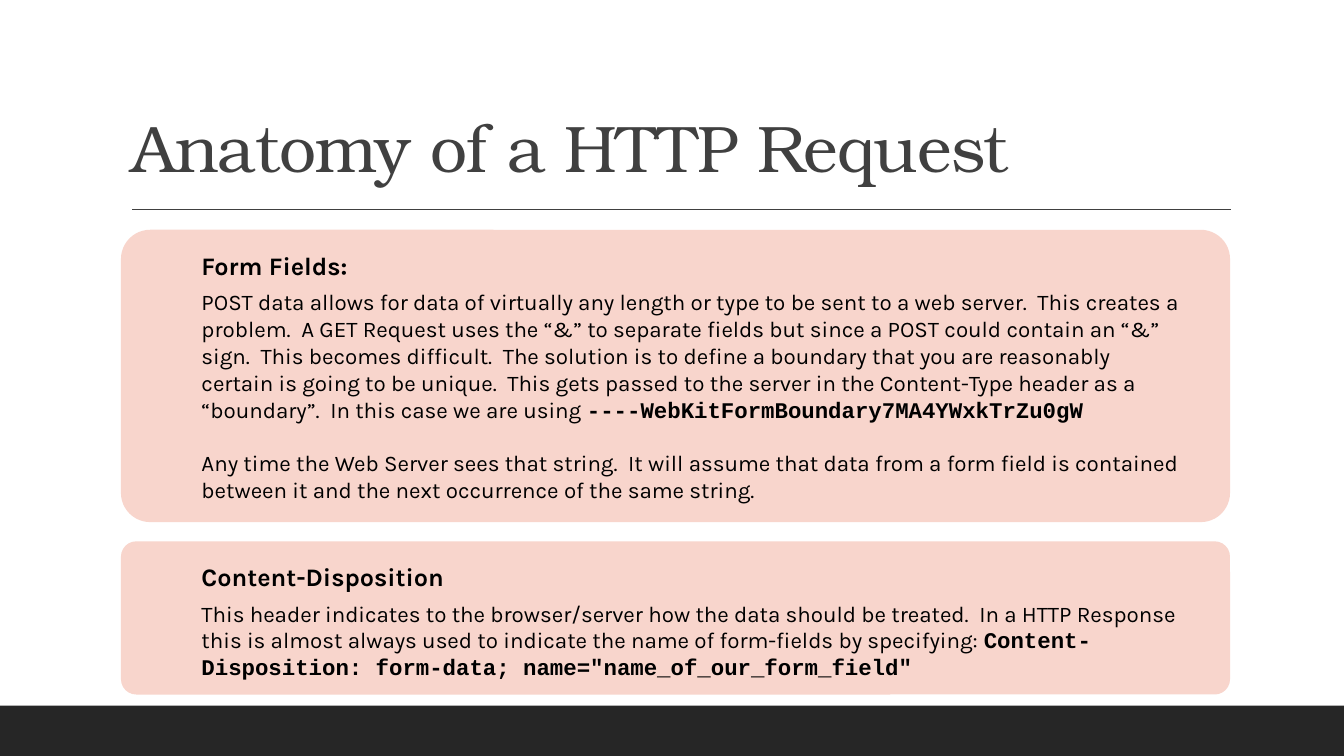
from lxml import etree
from pptx import Presentation
from pptx.dml.color import RGBColor
from pptx.enum.shapes import MSO_CONNECTOR, MSO_SHAPE
from pptx.enum.text import MSO_ANCHOR, MSO_AUTO_SIZE, PP_ALIGN
from pptx.oxml.ns import qn
from pptx.util import Inches, Pt

RECTANGLE, ROUNDED = MSO_SHAPE.RECTANGLE, MSO_SHAPE.ROUNDED_RECTANGLE
STRAIGHT = MSO_CONNECTOR.STRAIGHT
BOTTOM, LEFT = MSO_ANCHOR.BOTTOM, PP_ALIGN.LEFT
NO_AUTOSIZE, GROW = MSO_AUTO_SIZE.NONE, MSO_AUTO_SIZE.SHAPE_TO_FIT_TEXT

COLOURS = {"footer": "262626", "title": "404040", "card": "F8D5CC", "text": "000000"}
TITLE = {"name": "TeX Gyre Bonum", "size": Pt(47), "bold": False}
HEADING = {"name": "Karla", "size": Pt(18), "bold": True}
BODY = {"name": "Karla", "size": Pt(16), "bold": False}
CODE = {"name": "Courier New", "size": Pt(16), "bold": True}
PARAGRAPH_GAP = Pt(19.2)

CARDS = [
    {
        "top": 2.28,
        "height": 2.9,
        "heading": "Form Fields:",
        "body": [
            [
                ("POST data allows for data of virtually any length or type to be sent to a web "
                 "server.  This creates a problem.  A GET Request uses the “&” to separate fields "
                 "but since a POST could contain an “&” sign.  This becomes difficult.  The "
                 "solution is to define a boundary that you are reasonably certain is going to be "
                 "unique.  This gets passed to the server in the Content-Type header as a "
                 "“boundary”.  In this case we are using ", BODY),
                ("----WebKitFormBoundary7MA4YWxkTrZu0gW", CODE),
            ],
            [
                ("Any time the Web Server sees that string.  It will assume that data from a form "
                 "field is contained between it and the next occurrence of the same string.", BODY),
            ],
        ],
    },
    {
        "top": 5.37,
        "height": 1.52,
        "heading": "Content-Disposition",
        "body": [
            [
                ("This header indicates to the browser/server how the data should be treated.  In "
                 "a HTTP Response this is almost always used to indicate the name of form-fields "
                 "by specifying: ", BODY),
                ('Content-Disposition: form-data; name="name_of_our_form_field"', CODE),
            ],
        ],
    },
]


def add_run(paragraph, text, style, colour):
    """Append a run formatted from a dict of font values."""
    run = paragraph.add_run()
    run.text = text
    for attribute, value in style.items():
        setattr(run.font, attribute, value)
    run.font.color.rgb = RGBColor.from_string(COLOURS[colour])
    return run


def add_panel(slide, kind, colour, left, top, width, height):
    """Add a filled shape with no outline or shadow."""
    shape = slide.shapes.add_shape(kind, Inches(left), Inches(top), Inches(width), Inches(height))
    shape.shadow.inherit = False
    shape.fill.solid()
    shape.fill.fore_color.rgb = RGBColor.from_string(COLOURS[colour])
    shape.line.fill.background()
    return shape


def add_text(slide, paragraphs, left, top, width, height):
    """Add a wrapped text box holding paragraphs of styled runs."""
    box = slide.shapes.add_textbox(Inches(left), Inches(top), Inches(width), Inches(height))
    frame = box.text_frame
    frame.word_wrap = True
    frame.auto_size = GROW
    for index, runs in enumerate(paragraphs):
        paragraph = frame.add_paragraph() if index else frame.paragraphs[0]
        if index:
            paragraph.space_before = PARAGRAPH_GAP
        for text, style in runs:
            add_run(paragraph, text, style, "text")


def add_title(slide, text, left, top, width, height):
    """Fill the title placeholder and draw the rule beneath it."""
    title = slide.shapes.title
    title.left, title.top = Inches(left), Inches(top)
    title.width, title.height = Inches(width), Inches(height)
    frame = title.text_frame
    frame.word_wrap = True
    frame.auto_size = NO_AUTOSIZE
    frame.vertical_anchor = BOTTOM
    paragraph = frame.paragraphs[0]
    paragraph.alignment = LEFT
    paragraph.line_spacing = 0.9
    run = add_run(paragraph, text, TITLE, "title")
    run.font._element.set("spc", "-50")

    rule_top = Inches(top + height + 0.18)
    rule = slide.shapes.add_connector(
        STRAIGHT, Inches(left + 0.11), rule_top, Inches(left + width + 0.01), rule_top)
    rule.line.color.rgb = RGBColor.from_string(COLOURS["title"])
    rule.line.width = Pt(1)
    etree.SubElement(rule._element.spPr, qn("a:effectLst"))


def add_card(slide, card, left, width):
    """Add a rounded card with its heading and body text."""
    top, height = card["top"], card["height"]
    panel = add_panel(slide, ROUNDED, "card", left, top, width, height)
    panel.adjustments[0] = 0.1
    text_left, text_width = left + 0.7, width - 1.05
    add_text(slide, [[(card["heading"], HEADING)]], text_left, top + 0.15, text_width, 0.4)
    add_text(slide, card["body"], text_left, top + 0.53, text_width, height - 0.64)


def main():
    """Build the slide and save the presentation."""
    presentation = Presentation()
    presentation.slide_width, presentation.slide_height = Inches(13.33), Inches(7.5)
    slide = presentation.slides.add_slide(presentation.slide_layouts[5])
    add_panel(slide, RECTANGLE, "footer", 0, 7, 13.33, 0.5)
    add_title(slide, "Anatomy of a HTTP Request", 1.2, 0.31, 11, 1.59)
    for card in CARDS:
        add_card(slide, card, 1.2, 11)
    presentation.save("out.pptx")


if __name__ == "__main__":
    main()
